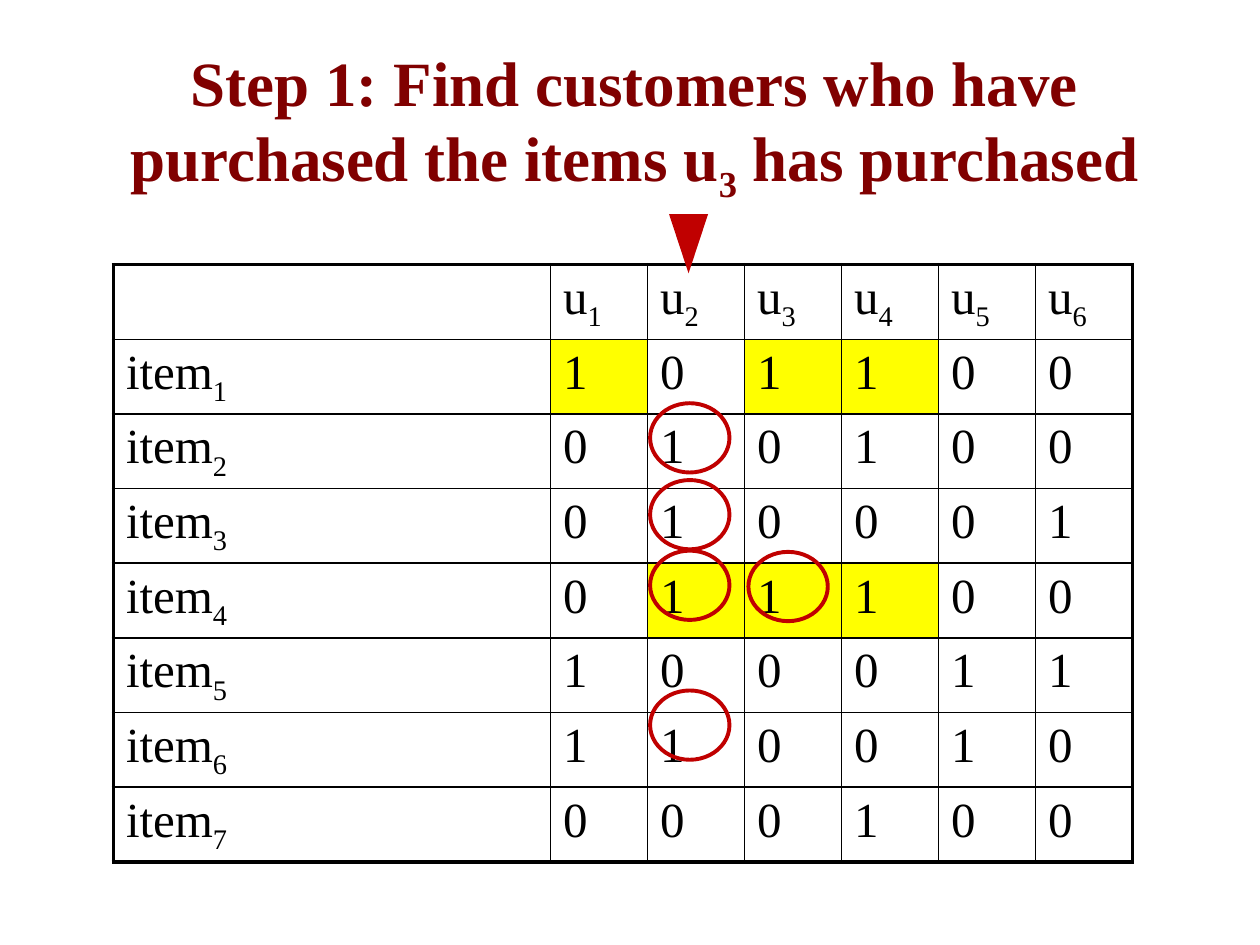
from pptx import Presentation
from pptx.dml.color import RGBColor
from pptx.enum.shapes import MSO_SHAPE as SHAPE
from pptx.enum.text import MSO_ANCHOR, MSO_AUTO_SIZE, PP_ALIGN
from pptx.oxml import parse_xml
from pptx.oxml.ns import nsdecls
from pptx.util import Inches, Pt

MAROON = RGBColor(0x80, 0x00, 0x00)
RED = RGBColor(0xC0, 0x00, 0x00)
YELLOW = RGBColor(0xFF, 0xFF, 0x00)
BLACK = RGBColor(0x00, 0x00, 0x00)
FONT = "Times New Roman"


def add_run(paragraph, text, size, color, bold=False, subscript=False):
    run = paragraph.add_run()
    run.text = text
    font = run.font
    font.name, font.size, font.bold = FONT, Pt(size), bold
    font.color.rgb = color
    if subscript:
        run._r.get_or_add_rPr().set("baseline", "-25000")


def add_border(cell, side, points):
    cell._tc.get_or_add_tcPr().append(parse_xml(
        f'<a:{side} {nsdecls("a")} w="{Pt(points)}"><a:solidFill>'
        f'<a:srgbClr val="{BLACK}"/></a:solidFill></a:{side}>'))


prs = Presentation()
prs.slide_width, prs.slide_height = Inches(10), Inches(7.5)
slide = prs.slides.add_slide(prs.slide_layouts[5])

# Title
title = slide.shapes.title
title.left, title.top = Inches(0.27), Inches(0.36)
title.width, title.height = Inches(9.53), Inches(1.25)
heading = title.text_frame
heading.auto_size = MSO_AUTO_SIZE.NONE
heading.word_wrap = True
heading.vertical_anchor = MSO_ANCHOR.MIDDLE
heading.paragraphs[0].alignment = PP_ALIGN.CENTER
for text, subscript in (("Step 1: Find customers who have purchased the items u", False),
                        ("3", True), (" has purchased", False)):
    add_run(heading.paragraphs[0], text, 36, MAROON, True, subscript)

# Purchase matrix: one row per item, one column per customer
purchases = ["101100", "010100", "010001", "011100", "100011", "110010", "000100"]
highlighted = {(1, 1), (1, 3), (1, 4), (4, 2), (4, 3), (4, 4)}
row_count, column_count = len(purchases) + 1, len(purchases[0]) + 1
matrix = slide.shapes.add_table(row_count, column_count, Inches(0.9), Inches(2.1),
                                Inches(8.09), Inches(4.56)).table
matrix.first_row = matrix.horz_banding = False
for c, column in enumerate(matrix.columns):
    column.width = Inches(0.77 if c else 3.47)
for row in matrix.rows:
    row.height = Inches(0.57)

for r in range(row_count):
    for c in range(column_count):
        cell = matrix.cell(r, c)
        # Heavy frame outside, thin rules inside
        for side, outer in (("lnL", c == 0), ("lnR", c == column_count - 1),
                            ("lnT", r == 0), ("lnB", r == row_count - 1)):
            add_border(cell, side, 2.25 if outer else 1)
        if (r, c) in highlighted:
            cell.fill.solid()
            cell.fill.fore_color.rgb = YELLOW
        else:
            cell.fill.background()

        # Labels carry a subscript index, the other cells a 0 or 1
        entry = cell.text_frame.paragraphs[0]
        entry._p.get_or_add_pPr().append(parse_xml(
            f'<a:spcBef {nsdecls("a")}><a:spcPct val="20000"/></a:spcBef>'))
        if r and c:
            add_run(entry, purchases[r - 1][c - 1], 28, BLACK)
        elif r or c:
            add_run(entry, "item" if r else "u", 28, BLACK)
            add_run(entry, str(r or c), 28, BLACK, subscript=True)

# Pointer above the customer column
pointer = slide.shapes.add_shape(SHAPE.ISOSCELES_TRIANGLE, Inches(5.31), Inches(1.7),
                                 Inches(0.31), Inches(0.47))
pointer.shadow.inherit = False
pointer.fill.solid()
pointer.fill.fore_color.rgb = RED
pointer.line.fill.background()
pointer._element.spPr.xfrm.set("flipV", "1")

# Rings around purchases
for left, top in ((5.16, 4.37), (5.94, 4.38), (5.16, 3.2), (5.16, 3.81), (5.16, 5.48)):
    ring = slide.shapes.add_shape(SHAPE.OVAL, Inches(left), Inches(top),
                                  Inches(0.63), Inches(0.55))
    ring.shadow.inherit = False
    ring.fill.background()
    ring.line.color.rgb = RED
    ring.line.width = Pt(2.25)

prs.save("out.pptx")
